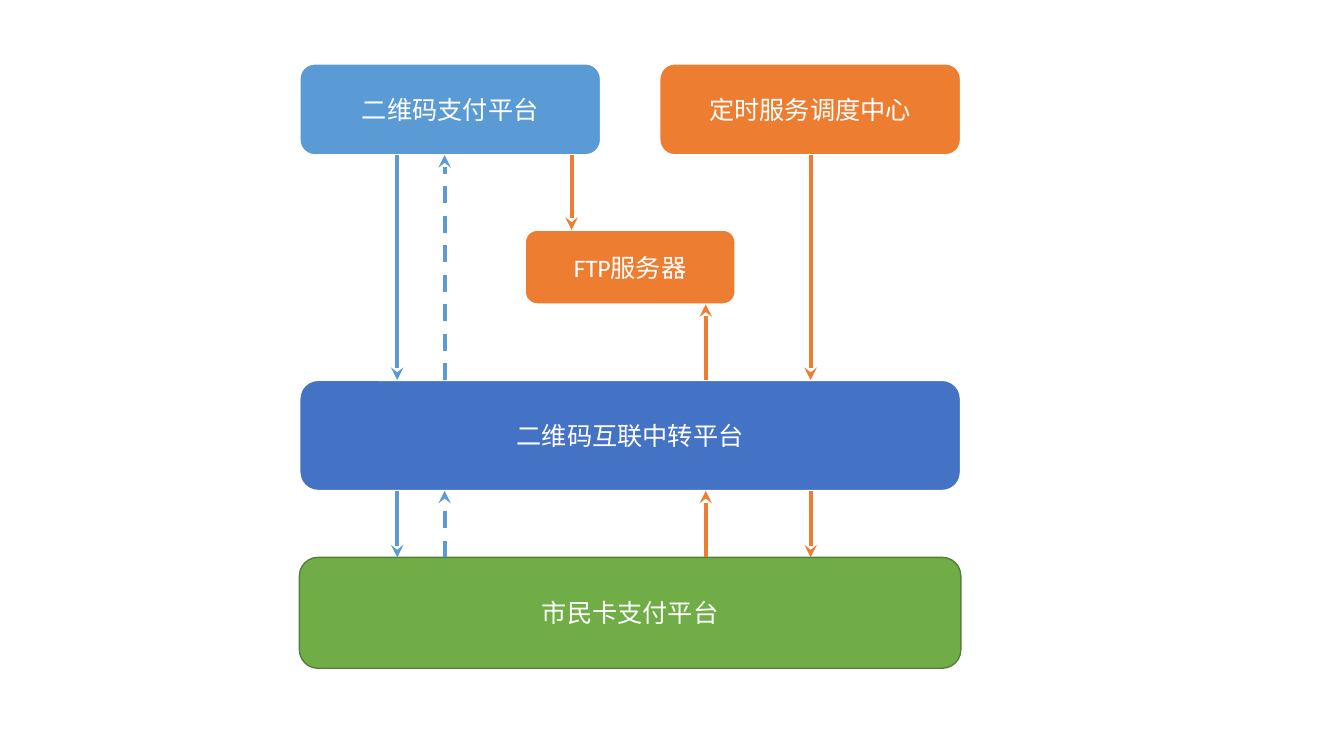
from dataclasses import dataclass
from pptx import Presentation
from pptx.dml.color import RGBColor as RGB
from pptx.enum.dml import MSO_LINE as Dash
from pptx.enum.shapes import MSO_CONNECTOR as Conn, MSO_SHAPE as Shape
from pptx.enum.text import MSO_ANCHOR as Anchor, PP_ALIGN as Align
from pptx.oxml.ns import qn
from pptx.util import Inches, Pt
from lxml.etree import SubElement as Sub


@dataclass(frozen=True)
class Theme:
    """Colours, font and sizes of the slide."""
    white: str = "FFFFFF"
    sky: str = "5B9BD5"
    orange: str = "ED7D31"
    blue: str = "4472C4"
    green: str = "70AD47"
    edge: str = "538035"
    font: str = "Calibri"
    size: float = 18
    rim: float = 1.5
    thin: float = 1
    flow: float = 3


T = Theme()


def node(slide, box, text, fill, edge=T.white, rim=T.rim):
    """Draw a labelled rounded box."""
    shape = slide.shapes.add_shape(Shape.ROUNDED_RECTANGLE, *map(Inches, box))
    shape.shadow.inherit = False
    shape.fill.solid()
    shape.fill.fore_color.rgb = RGB.from_string(fill)
    shape.line.color.rgb = RGB.from_string(edge)
    shape.line.width = Pt(rim)
    frame = shape.text_frame
    frame.word_wrap = True
    frame.vertical_anchor = Anchor.MIDDLE
    para = frame.paragraphs[0]
    para.alignment = Align.CENTER
    run = para.add_run()
    run.text = text
    run.font.name = T.font
    run.font.size = Pt(T.size)
    run.font.color.rgb = RGB.from_string(T.white)


def arrow(slide, x, start, end, color, dash=False):
    """Draw a vertical arrow from start to end."""
    link = slide.shapes.add_connector(
        Conn.STRAIGHT, Inches(x), Inches(start), Inches(x), Inches(end))
    link.line.color.rgb = RGB.from_string(color)
    link.line.width = Pt(T.flow)
    if dash:
        link.line.dash_style = Dash.DASH
    props = link._element.spPr
    Sub(props.find(qn("a:ln")), qn("a:tailEnd"), type="stealth")
    Sub(props, qn("a:effectLst"))


def flow(slide, box):
    """Draw the platforms and the flows between them inside the box."""
    left, top, wide, high = box
    half, head, base = 2.99, 0.91, 1.1
    hub, card = top + 3.14, top + high - base
    ftp, tall = top + 1.65, 0.74
    span = 2.09

    node(slide, (left, hub, wide, base), "二维码互联中转平台", T.blue)
    node(slide, (left, top, half, head), "二维码支付平台", T.sky)
    node(slide, (left + wide - half, top, half, head), "定时服务调度中心", T.orange)
    node(slide, (left + (wide - span) / 2, ftp, span, tall), "FTP服务器", T.orange)
    node(slide, (left, card, wide, base), "市民卡支付平台", T.green, T.edge, T.thin)

    ask, reply, drop, fetch, timer = (left + x for x in (0.97, 1.44, 2.7, 4.03, 5.07))
    for upper, lower in ((top + head, hub), (hub + base, card)):
        arrow(slide, ask, upper, lower, T.sky)
        arrow(slide, reply, lower, upper, T.sky, True)
        arrow(slide, timer, upper, lower, T.orange)
    arrow(slide, drop, top + head, ftp, T.orange)
    arrow(slide, fetch, hub, ftp + tall, T.orange)
    arrow(slide, fetch, card, hub + base, T.orange)


deck = Presentation()
deck.slide_width, deck.slide_height = Inches(13.33), Inches(7.5)
page = deck.slides.add_slide(deck.slide_layouts[6])
flow(page, (2.97, 0.63, 6.56, 6))
deck.save("out.pptx")
